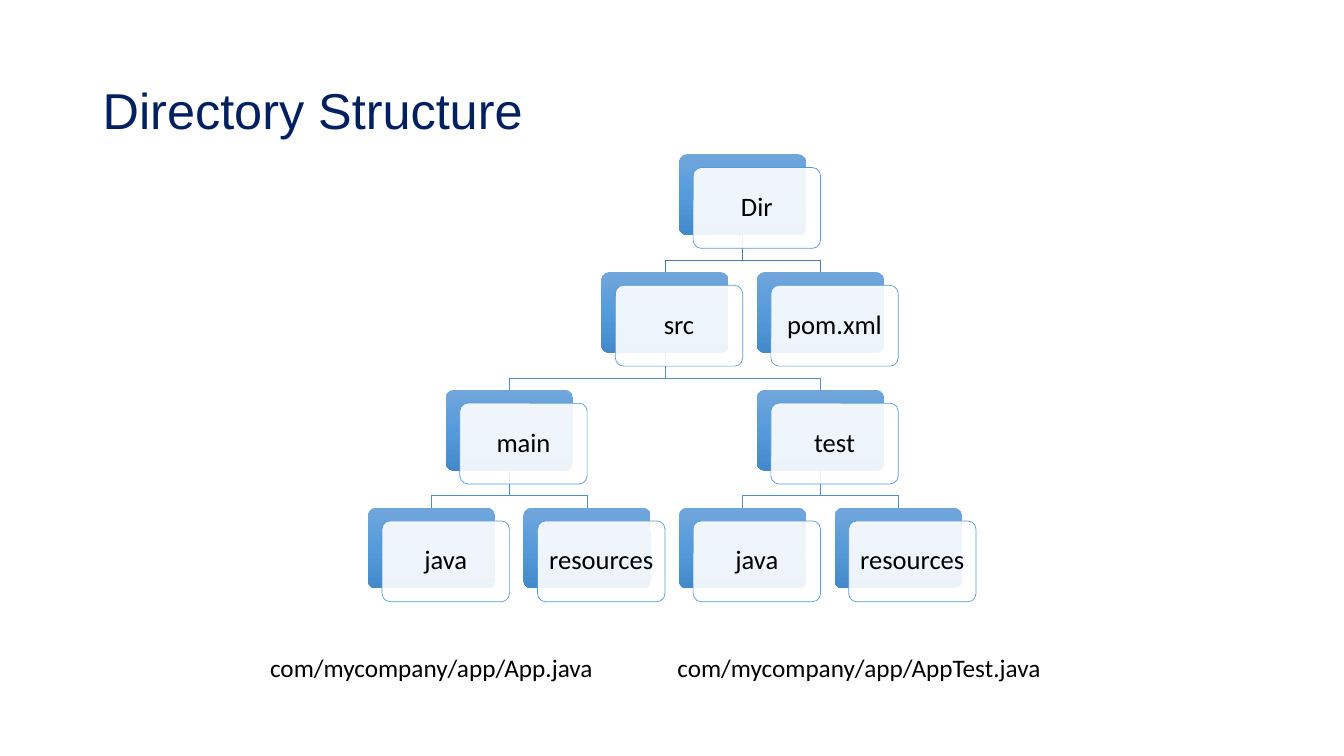
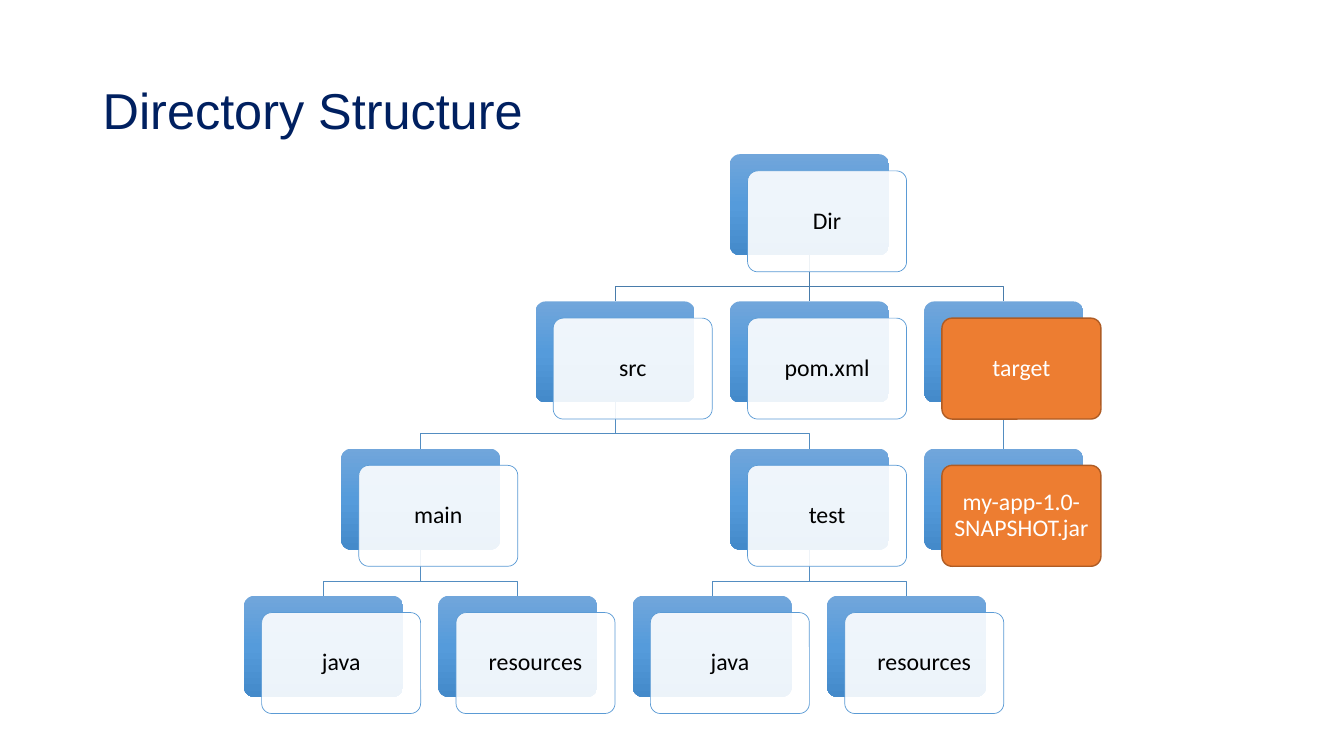
import copy

import pptx
import pptx.dml.color
import pptx.enum.shapes
import pptx.enum.text
import pptx.oxml.ns
import pptx.oxml.xmlchemy
import pptx.util

Inches, Pt = pptx.util.Inches, pptx.util.Pt
qn = pptx.oxml.ns.qn
new_element = pptx.oxml.xmlchemy.OxmlElement
SHAPE = pptx.enum.shapes.MSO_SHAPE
ALIGN = pptx.enum.text.PP_ALIGN
ANCHOR = pptx.enum.text.MSO_ANCHOR

# Shared look
NAVY, BLACK, WHITE = "002060", "000000", "FFFFFF"
CARD_LINE, ROOT_LINK, LINK = "5B9BD5", "497CAB", "538DC1"
ORANGE, ORANGE_LINE = "ED7D31", "AF5C24"
BACK_STOPS = [(0, "71A6DB"), (0.5, "559BDB"), (1, "448ACA")]

# Tree proportions, as shares of the card width
CARD_H, OFFSET_X, OFFSET_Y = 0.635, 1 / 9, 0.105
COL_PITCH, ROW_PITCH = 11 / 9, 0.926
BEND = 0.68  # where a link turns, as a share of the gap between rows

# Directories: (name, children) or (name, column) for a leaf
SRC = ("src", [("main", [("java", 0), ("resources", 1)]),
               ("test", [("java", 2), ("resources", 3)])])
POM = ("pom.xml", 2.5)
TARGET = ("target", [("my-app-1.0-SNAPSHOT.jar", 3.5)])
BUILD_OUTPUT = {"target", "my-app-1.0-SNAPSHOT.jar"}


def rgb(color):
    return pptx.dml.color.RGBColor.from_string(color)


def set_text(shape, text, font, size, color, spacing=None):
    tf = shape.text_frame
    tf.word_wrap = True
    p = tf.paragraphs[0]
    p.text = text
    p.line_spacing = spacing
    p.font.name, p.font.size = font, Pt(size)
    p.font.color.rgb = rgb(color)
    return tf


def set_line(shape, color, width):
    shape.line.color.rgb = rgb(color)
    shape.line.width = Pt(width)


def add_title(s, text):
    tb = s.shapes.add_textbox(Inches(0.92), Inches(0.4), Inches(11.5), Inches(1.45))
    tf = set_text(tb, text, "Arial", 36, NAVY, 0.9)
    tf.vertical_anchor = ANCHOR.MIDDLE


def add_caption(s, text, left, top, width):
    tb = s.shapes.add_textbox(Inches(left), Inches(top), Inches(width), Inches(0.4))
    tf = set_text(tb, text, "Calibri", 18, BLACK)
    tf.auto_size = pptx.enum.text.MSO_AUTO_SIZE.SHAPE_TO_FIT_TEXT


def add_round_box(s, left, top, width):
    sp = s.shapes.add_shape(SHAPE.ROUNDED_RECTANGLE, Inches(left), Inches(top),
                            Inches(width), Inches(width * CARD_H))
    sp.adjustments[0] = 0.1
    sp.shadow.inherit = False
    return sp


def add_card(s, label, left, top, width, size):
    """Draw a shaded back box and a labelled front box; return the back box."""
    back = add_round_box(s, left, top, width)
    back.line.fill.background()
    back.fill.gradient()
    back.fill.gradient_angle = 270
    stops = back._element.spPr.find(".//" + qn("a:gsLst"))
    stops.insert(1, copy.deepcopy(stops[0]))
    for stop, (position, color) in zip(back.fill.gradient_stops, BACK_STOPS):
        stop.position = position
        stop.color.rgb = rgb(color)

    front = add_round_box(s, left + width * OFFSET_X, top + width * OFFSET_Y, width)
    front.fill.solid()
    if label in BUILD_OUTPUT:
        front.fill.fore_color.rgb = rgb(ORANGE)
        set_line(front, ORANGE_LINE, 1)
    else:
        front.fill.fore_color.rgb = rgb(WHITE)
        set_line(front, CARD_LINE, 0.5)
        alpha = new_element("a:alpha")
        alpha.set("val", "90000")
        front._element.spPr.find(qn("a:solidFill"))[0].append(alpha)
    tf = set_text(front, label, "Calibri", size,
                  WHITE if label in BUILD_OUTPUT else BLACK, 0.9)
    tf.margin_left = tf.margin_right = tf.margin_top = tf.margin_bottom = Inches(0.07)
    tf.vertical_anchor = ANCHOR.MIDDLE
    tf.paragraphs[0].alignment = ALIGN.CENTER
    return back


def add_link(s, parent, child, color):
    """Link two back boxes, behind all cards."""
    x1, y1 = parent.left + parent.width // 2, parent.top + parent.height
    x2, y2 = child.left + child.width // 2, child.top
    if abs(x1 - x2) < Inches(0.01):
        link = s.shapes.add_connector(pptx.enum.shapes.MSO_CONNECTOR.STRAIGHT,
                                      x1, y1, x2, y2)
        link.begin_connect(parent, 2)
        link.end_connect(child, 0)
        link._element.spPr.append(new_element("a:effectLst"))
    else:
        bend = int(y1 + (y2 - y1) * BEND)
        path_builder = s.shapes.build_freeform(x1, y1)
        path_builder.add_line_segments([(x1, bend), (x2, bend), (x2, y2)], close=False)
        link = path_builder.convert_to_shape()
        link.fill.background()
        link.shadow.inherit = False
    set_line(link, color, 0.5)
    link._element.getparent().insert(2, link._element)


def column(node):
    """A parent stands midway between its first and last child."""
    below = node[1]
    if isinstance(below, list):
        return (column(below[0]) + column(below[-1])) / 2
    return below


def last_column(node):
    below = node[1]
    return max(map(last_column, below)) if isinstance(below, list) else below


def add_tree(s, root, left, top, width, size):
    card_w = width / (last_column(root) * COL_PITCH + 1 + OFFSET_X)

    def add_node(node, row):
        label, below = node
        card = add_card(s, label, left + column(node) * card_w * COL_PITCH,
                        top + row * card_w * ROW_PITCH, card_w, size)
        for child in below if isinstance(below, list) else []:
            child_card = add_node(child, row + 1)
            add_link(s, card, child_card, LINK if row else ROOT_LINK)
        return card

    add_node(root, 0)


def add_directory_slide(prs, root, left, width, size):
    s = prs.slides.add_slide(prs.slide_layouts[6])
    add_title(s, "Directory Structure")
    add_tree(s, root, left, 1.53, width, size)
    return s


def main():
    prs = pptx.Presentation()
    prs.slide_width, prs.slide_height = Inches(13.33), Inches(7.5)

    # Source layout
    s = add_directory_slide(prs, ("Dir", [SRC, POM]), 3.65, 6.03, 19)
    add_caption(s, "com/mycompany/app/App.java", 2.58, 6.42, 3.61)
    add_caption(s, "com/mycompany/app/AppTest.java", 6.62, 6.42, 4.4)

    # Layout after a build
    add_directory_slide(prs, ("Dir", [SRC, POM, TARGET]), 2.42, 8.5, 17)

    prs.save("out.pptx")


if __name__ == "__main__":
    main()
